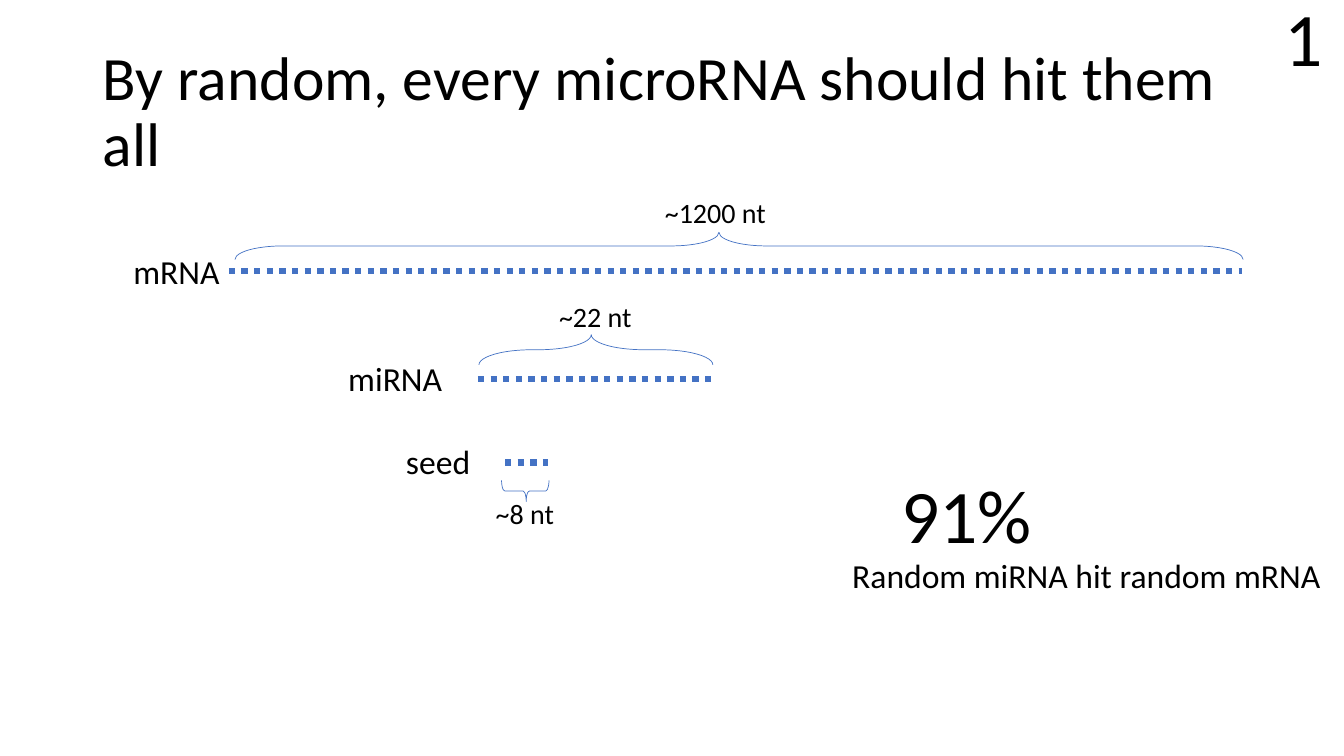
"""Build the slide on random microRNA hits."""
from lxml.etree import SubElement
from pptx import Presentation
from pptx.dml.color import RGBColor
from pptx.enum.dml import MSO_LINE
from pptx.enum.shapes import MSO_CONNECTOR, MSO_SHAPE
from pptx.enum.text import MSO_ANCHOR, MSO_AUTO_SIZE as AutoSize, PP_ALIGN
from pptx.oxml.ns import qn
from pptx.util import Inches, Pt

COLORS = {"text": "000000", "strand": "4472C4"}
FONT = "Calibri"
TITLE = "By random, every microRNA should hit them all"
TITLE_BOX = (0.92, 0.4, 11.5, 1.45)

LABELS = [
    ("miRNA", 24, (3.35, 3.5, 1.14, 0.5)),
    ("mRNA", 24, (1.22, 2.44, 1.06, 0.5)),
    ("seed", 24, (3.92, 4.33, 0.85, 0.5)),
    ("~1200 nt", 20, (6.49, 1.89, 1.21, 0.44)),
    ("~22 nt", 20, (5.44, 2.92, 0.93, 0.44)),
    ("~8 nt", 20, (4.81, 4.88, 0.79, 0.44)),
    ("91%", 54, (8.83, 4.59, 1.51, 1.01)),
    ("Random miRNA hit random mRNA", 24, (8.33, 5.46, 4.89, 0.5)),
    ("1", 54, (12.63, -0.14, 0.59, 1.01)),
]
STRANDS = [(2.27, 12.32, 2.69), (4.74, 7.09, 3.76), (5.01, 5.44, 4.59)]
BRACES = [
    {"center": (7.33, 2.44), "span": 10, "depth": 0.27, "curve": 1.75, "turn": 90},
    {"center": (5.91, 3.47), "span": 2.32, "depth": 0.3, "curve": 1.75, "turn": 90},
    {"center": (5.21, 4.87), "span": 0.47, "depth": 0.21, "curve": 0.15, "turn": 270},
]
BRACE_TIP = 0.52


def color(name):
    return RGBColor.from_string(COLORS[name])


def write(frame, text, size, align=PP_ALIGN.CENTER, wrap=False,
          fit=AutoSize.SHAPE_TO_FIT_TEXT, anchor=MSO_ANCHOR.TOP, spacing=None):
    frame.word_wrap = wrap
    frame.auto_size = fit
    frame.vertical_anchor = anchor
    line = frame.paragraphs[0]
    line.alignment = align
    line.line_spacing = spacing
    run = line.add_run()
    run.text = text
    run.font.size = Pt(size)
    run.font.name = FONT
    run.font.color.rgb = color("text")


def add_strand(slide, left, right, y):
    strand = slide.shapes.add_connector(
        MSO_CONNECTOR.STRAIGHT, Inches(left), Inches(y), Inches(right), Inches(y))
    strand.line.color.rgb = color("strand")
    strand.line.width = Pt(4.5)
    strand.line.dash_style = MSO_LINE.ROUND_DOT
    SubElement(strand._element.spPr, qn("a:effectLst"))


def add_brace(slide, center, span, depth, curve, turn):
    x, y = center
    brace = slide.shapes.add_shape(
        MSO_SHAPE.LEFT_BRACE, Inches(x - depth / 2), Inches(y - span / 2),
        Inches(depth), Inches(span))
    brace.rotation = turn
    brace.adjustments[0] = curve
    brace.adjustments[1] = BRACE_TIP
    brace.shadow.inherit = False
    brace.fill.background()
    brace.line.color.rgb = color("strand")
    brace.line.width = Pt(0.5)


def main():
    deck = Presentation()
    deck.slide_width, deck.slide_height = Inches(13.33), Inches(7.5)
    slide = deck.slides.add_slide(deck.slide_layouts[5])

    title = slide.shapes.title
    title.left, title.top, title.width, title.height = map(Inches, TITLE_BOX)
    write(title.text_frame, TITLE, 44, align=PP_ALIGN.LEFT, wrap=True,
          fit=AutoSize.NONE, anchor=MSO_ANCHOR.MIDDLE, spacing=0.9)

    for left, right, y in STRANDS:
        add_strand(slide, left, right, y)
    for brace in BRACES:
        add_brace(slide, **brace)
    for text, size, box in LABELS:
        label = slide.shapes.add_textbox(*map(Inches, box))
        write(label.text_frame, text, size)

    deck.save("out.pptx")


if __name__ == "__main__":
    main()
